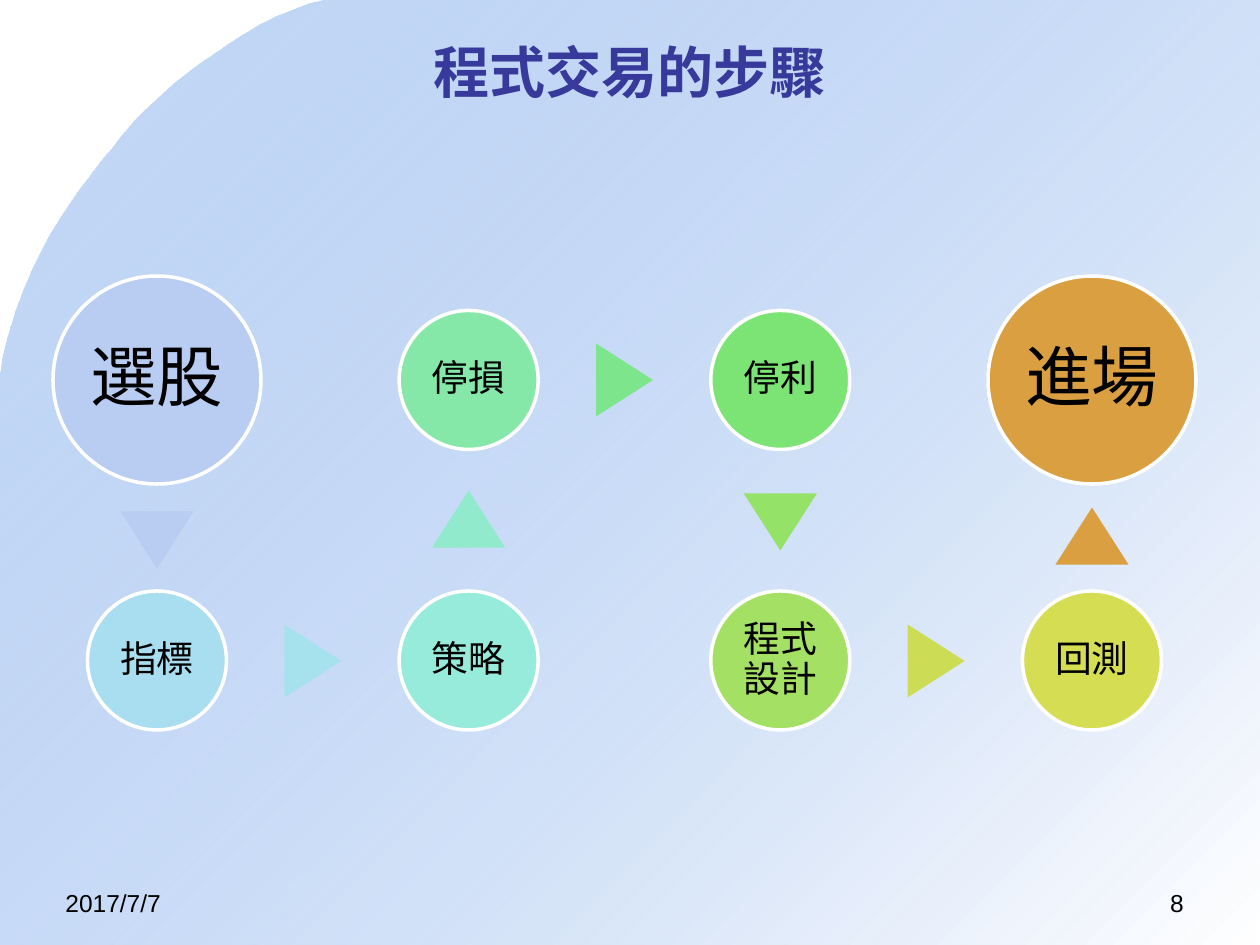
from lxml import etree
from pptx import Presentation
from pptx import util as u
from pptx.dml.color import RGBColor
from pptx.enum import shapes, text
from pptx.oxml.ns import qn

SCALE = 914400 / 126
WIDTH, HEIGHT = 1260, 945
LATIN_FONT = "Arial"
CJK_FONT = "Noto Sans CJK SC"

WHITE = RGBColor(0xFF, 0xFF, 0xFF)
BLACK = RGBColor(0x00, 0x00, 0x00)
BACKDROP_BLUE = RGBColor(0x69, 0x9D, 0xE9)
TITLE_BLUE = RGBColor(0x37, 0x39, 0x9B)
PERIWINKLE = RGBColor(0xB9, 0xCC, 0xF2)
SKY = RGBColor(0xA8, 0xDE, 0xEF)
PALE_CYAN = RGBColor(0xA5, 0xE2, 0xEE)
AQUA = RGBColor(0x96, 0xEB, 0xDA)
SEAFOAM = RGBColor(0x91, 0xEA, 0xCB)
MINT = RGBColor(0x85, 0xE8, 0xA9)
SPRING = RGBColor(0x7D, 0xE6, 0x8C)
GREEN = RGBColor(0x7C, 0xE4, 0x74)
LEAF = RGBColor(0x95, 0xE2, 0x69)
LIME = RGBColor(0xA3, 0xE0, 0x63)
OLIVE = RGBColor(0xCC, 0xDD, 0x55)
YELLOW = RGBColor(0xD5, 0xDD, 0x52)
ORANGE = RGBColor(0xD9, 0x9F, 0x41)

UP, RIGHT, DOWN = 0, 90, 180
LARGE = (208, 38, 6)
SMALL = (139, 21, 4)
STEPS = [
    ("選股", 0, 0, LARGE, PERIWINKLE),
    ("指標", 0, 1, SMALL, SKY),
    ("策略", 1, 1, SMALL, AQUA),
    ("停損", 1, 0, SMALL, MINT),
    ("停利", 2, 0, SMALL, GREEN),
    ("程式設計", 2, 1, SMALL, LIME),
    ("回測", 3, 1, SMALL, YELLOW),
    ("進場", 3, 0, LARGE, ORANGE),
]
ARROWS = [
    (0, 264, DOWN, PERIWINKLE),
    (0.5, 385, RIGHT, PALE_CYAN),
    (1, 243, UP, SEAFOAM),
    (1.5, 104, RIGHT, SPRING),
    (2, 246, DOWN, LEAF),
    (2.5, 385, RIGHT, OLIVE),
    (3, 260, UP, ORANGE),
]


def px(length):
    return u.Emu(round(length * SCALE))


def bezier(points, steps=16):
    for step in range(1, steps + 1):
        t = step / steps
        weights = ((1 - t) ** 3, 3 * t * (1 - t) ** 2, 3 * t * t * (1 - t), t ** 3)
        yield tuple(sum(w * p[axis] for w, p in zip(weights, points)) for axis in (0, 1))


def set_text(shape, content, size, color, alignment, latin=LATIN_FONT, bold=False):
    shape.text_frame.word_wrap = True
    paragraph = shape.text_frame.paragraphs[0]
    paragraph.text = content
    paragraph.alignment = alignment
    font = paragraph.runs[0].font
    font.name, font.size, font.bold = latin, u.Pt(size), bold
    font.color.rgb = color
    east_asian = etree.Element(qn("a:ea"), typeface=CJK_FONT)
    font._element.find(qn("a:latin")).addnext(east_asian)
    return paragraph


def add_text_box(slide, box, *style, **options):
    shape = slide.shapes.add_textbox(*map(px, box))
    set_text(shape, *style, **options)
    return shape


def add_centred(slide, kind, centre, size, color):
    (x, y), (width, height) = centre, size
    box = (x - width / 2, y - height / 2, width, height)
    shape = slide.shapes.add_shape(kind, *map(px, box))
    shape.shadow.inherit = False
    shape.fill.solid()
    shape.fill.fore_color.rgb = color
    shape.line.fill.background()
    return shape


def add_backdrop(slide, box):
    left, top, width, height = box
    start, middle, end = (325, 0), (123, 135), (0, 379)
    outline = [
        *bezier([start, (239, 20), (146, 105), middle]),
        *bezier([middle, (101, 166), (20, 244), end]),
        (0, height), (width, height), (width, 0),
    ]
    builder = slide.shapes.build_freeform(left + start[0], top + start[1], SCALE)
    builder.add_line_segments([(left + x, top + y) for x, y in outline], close=True)
    shape = builder.convert_to_shape()
    shape.shadow.inherit = False
    shape.line.fill.background()
    shape.fill.gradient()
    shape.fill.gradient_angle = 315
    first, last = shape.fill.gradient_stops
    first.position, first.color.rgb = 0, BACKDROP_BLUE
    last.position, last.color.rgb = 1, WHITE
    first_color = shape._element.spPr.find(".//" + qn("a:srgbClr"))
    etree.SubElement(first_color, qn("a:alpha"), val="39000")


def add_title(slide, box):
    shape = add_text_box(slide, box, "程式交易的步驟", 32, TITLE_BLUE,
                         text.PP_ALIGN.CENTER, latin=CJK_FONT, bold=True)
    shape.text_frame.vertical_anchor = text.MSO_ANCHOR.MIDDLE


def add_step(slide, centre, label, style, color):
    diameter, font_size, margin = style
    shape = add_centred(slide, shapes.MSO_SHAPE.OVAL, centre, (diameter, diameter), color)
    shape.line.color.rgb = WHITE
    shape.line.width = u.Pt(2)
    frame = shape.text_frame
    frame.margin_left = frame.margin_right = px(margin)
    frame.margin_top = frame.margin_bottom = px(margin)
    frame.vertical_anchor = text.MSO_ANCHOR.MIDDLE
    paragraph = set_text(shape, label, font_size, BLACK, text.PP_ALIGN.CENTER)
    paragraph.line_spacing = 0.9


def add_process(slide, box):
    left, top, width, height = box
    pitch = (width - LARGE[0]) / 3
    first_column = left + LARGE[0] / 2
    rows = (top + LARGE[0] / 2, top + height - SMALL[0] / 2)
    for label, column, row, style, color in STEPS:
        add_step(slide, (first_column + column * pitch, rows[row]), label, style, color)
    for column, offset, direction, color in ARROWS:
        centre = (first_column + column * pitch, top + offset)
        arrow = add_centred(slide, shapes.MSO_SHAPE.ISOSCELES_TRIANGLE, centre, (73, 57), color)
        arrow.rotation = direction


def add_footer(slide, box):
    left, top, width, height = box
    field = 293
    add_text_box(slide, (left, top, field, height), "2017/7/7", 14, BLACK, text.PP_ALIGN.LEFT)
    add_text_box(slide, (left + width - field, top, field, height), "8", 14, BLACK,
                 text.PP_ALIGN.RIGHT)


def main():
    presentation = Presentation()
    presentation.slide_width, presentation.slide_height = px(WIDTH), px(HEIGHT)
    slide = presentation.slides.add_slide(presentation.slide_layouts[6])
    add_backdrop(slide, (0, 0, WIDTH, HEIGHT))
    add_title(slide, (63, 32, 1134, 78))
    add_process(slide, (53, 276, 1143, 454))
    add_footer(slide, (53, 882, 1143, 44))
    presentation.save("out.pptx")


if __name__ == "__main__":
    main()
